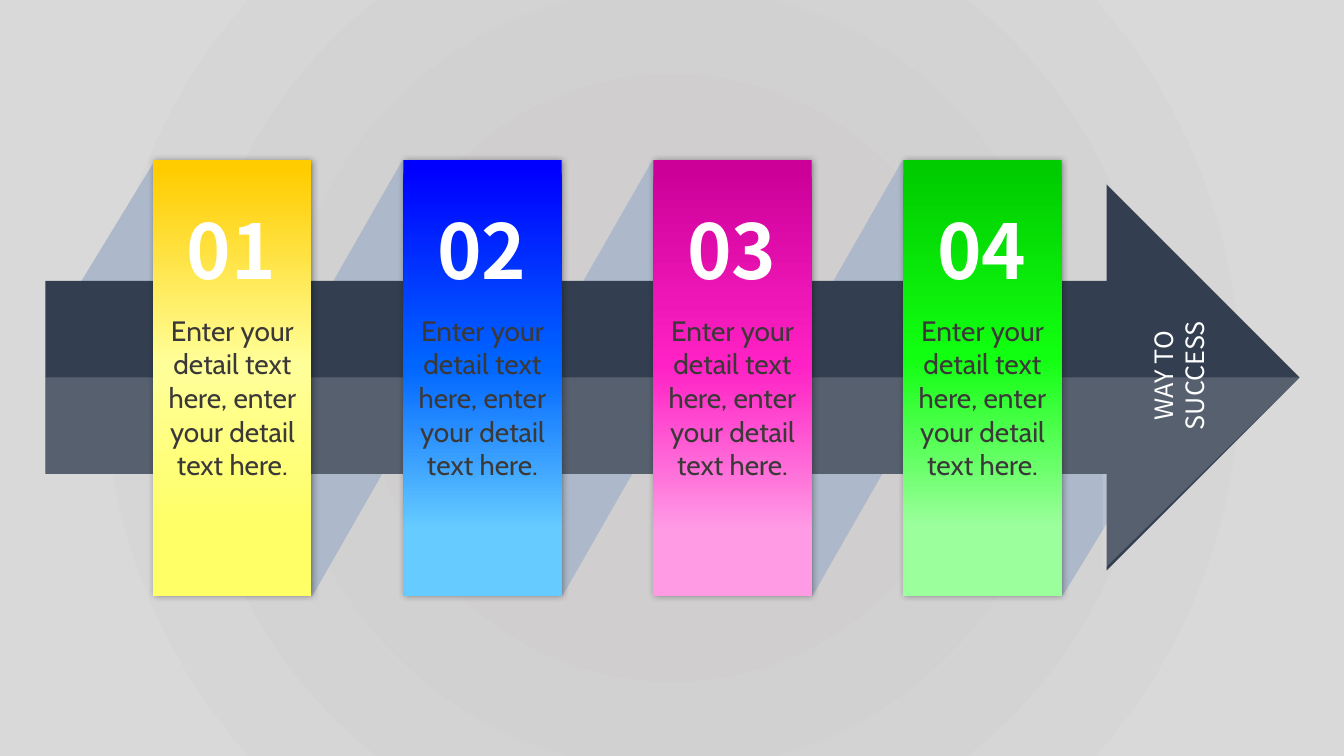
from dataclasses import dataclass

from lxml.etree import SubElement
from pptx import Presentation
from pptx.dml.color import RGBColor
from pptx.enum.shapes import MSO_SHAPE as Preset
from pptx.enum.text import MSO_AUTO_SIZE as AutoSize, PP_ALIGN as Align
from pptx.oxml.ns import qn
from pptx.util import Inches, Pt

NUMBER_FONT, DETAIL_FONT = "Noto Sans CJK SC", "Cabin"
DETAIL = "Enter your detail text here, enter your detail text here."
GRADIENTS = [
    [(2, "FFCC00"), (47, "FFFF99"), (85, "FFFF66")],
    [(2, "0000FF"), (47, "0066FF"), (85, "66CCFF")],
    [(2, "CC0099"), (47, "FF21C5"), (85, "FF9BE5")],
    [(2, "00CC00"), (45, "11FF11"), (84, "9BFF9B")],
]
PITCH = 2.48
SKEW = 0.61


@dataclass
class Box:
    """A rectangle in inches."""
    left: float
    top: float
    width: float
    height: float

    def inner(self, left, top, width, height):
        """A box inside this one, given as shares of its size."""
        return Box(self.left + left * self.width, self.top + top * self.height,
                   width * self.width, height * self.height)

    def emu(self):
        return [Inches(side) for side in (self.left, self.top, self.width, self.height)]


def color(value):
    return RGBColor.from_string(value)


def add_color(parent, value, alpha=None):
    node = SubElement(parent, qn("a:srgbClr"), val=value)
    if alpha is not None:
        SubElement(node, qn("a:alpha"), val=str(alpha * 1000))


def set_gradient(fill, holder, stops, circular=False):
    """Give the fill its stops, running down or out from the centre."""
    fill.gradient()
    gradient = holder.find(qn("a:gradFill"))
    for child in list(gradient):
        gradient.remove(child)
    stop_list = SubElement(gradient, qn("a:gsLst"))
    for position, value in stops:
        add_color(SubElement(stop_list, qn("a:gs"), pos=str(position * 1000)), value)
    if circular:
        shade = SubElement(gradient, qn("a:path"), {"path": "circle"})
        SubElement(shade, qn("a:fillToRect"), dict.fromkeys("ltrb", "50000"))
    else:
        SubElement(gradient, qn("a:lin"), ang="5400000", scaled="0")


def finish(shape, value):
    """Flat fill without line or shadow."""
    shape.shadow.inherit = False
    shape.line.fill.background()
    shape.fill.solid()
    shape.fill.fore_color.rgb = color(value)


def add_flat(shapes, preset, box, value):
    shape = shapes.add_shape(preset, *box.emu())
    finish(shape, value)
    return shape


def add_text(page, box, text, font, size, value, bold=False):
    text_box = page.shapes.add_textbox(*box.emu())
    frame = text_box.text_frame
    frame.text = text
    frame.word_wrap = True
    frame.auto_size = AutoSize.SHAPE_TO_FIT_TEXT
    para = frame.paragraphs[0]
    para.alignment = Align.CENTER
    span = para.runs[0].font
    span.name, span.size, span.bold = font, Pt(size), bold
    span.color.rgb = color(value)
    return text_box


def add_ribbon_folds(page, banners):
    """Slanted bands that join each banner's foot to the next one's head."""
    first, last = banners[0], banners[-1]
    head_width, head_height = 2.4, 1.39
    foot_width, foot_height = 3.16, 2.59
    folds = [
        Box(last.left, last.top + last.height - foot_height, foot_width, foot_height),
        Box(first.left + first.width - head_width, first.top, head_width, head_height),
    ]
    folds += [Box(banner.left, banner.top, PITCH + banner.width, banner.height)
              for banner in banners[:-1]]
    for fold in folds:
        add_flat(page.shapes, Preset.PARALLELOGRAM, fold, "ADB9CA").adjustments[0] = SKEW


def add_arrow(page, box):
    group = page.shapes.add_group_shape()
    add_flat(group.shapes, Preset.RIGHT_ARROW, box, "333F50")
    neck = 1 - 0.51 * box.height / box.width
    outline = [(0, 0.5), (1, 0.5), (neck, 1), (neck, 0.75), (0, 0.75)]
    points = [(Inches(box.left + across * box.width), Inches(box.top + down * box.height))
              for across, down in outline]
    builder = group.shapes.build_freeform(*points[0])
    builder.add_line_segments(points[1:], close=True)
    lower_half = builder.convert_to_shape()
    finish(lower_half, "E7E6E6")
    tint = lower_half.element.spPr.find(qn("a:solidFill"))[0]
    SubElement(tint, qn("a:alpha"), val="20000")


def add_banner(page, box, number, stops):
    banner = add_flat(page.shapes, Preset.RECTANGLE, box, stops[0][1])
    properties = banner.element.spPr
    set_gradient(banner.fill, properties, stops)
    shadow = SubElement(properties.find(qn("a:effectLst")), qn("a:outerShdw"),
                        blurRad=str(Pt(5)), dist=str(Pt(1)), dir="0",
                        algn="ctr", rotWithShape="0")
    add_color(shadow, "000000", 40)
    add_text(page, box.inner(0.08, 0.09, 0.83, 0.23), f"{number:02}",
             NUMBER_FONT, 54, "FFFFFF", bold=True)
    add_text(page, box.inner(0, 0.34, 1, 0.41), DETAIL, DETAIL_FONT, 20, "3B3838")


def build_page(page):
    background = page.background.fill
    holder = page.element.cSld.find(qn("p:bg")).find(qn("p:bgPr"))
    set_gradient(background, holder, [(28, "D0CECE"), (85, "D9D9D9")], circular=True)
    banners = [Box(1.52 + PITCH * column, 1.59, 1.57, 4.32)
               for column in range(len(GRADIENTS))]
    arrow = Box(0.45, 1.83, 12.44, 3.83)
    add_ribbon_folds(page, banners)
    add_arrow(page, arrow)
    for number, (box, stops) in enumerate(zip(banners, GRADIENTS), start=1):
        add_banner(page, box, number, stops)
    label = add_text(page, arrow.inner(0.84, 0.4, 0.13, 0.19), "WAY TO SUCCESS",
                     NUMBER_FONT, 18, "FFFFFF")
    label.rotation = 270


def main():
    deck = Presentation()
    deck.slide_width, deck.slide_height = Inches(13.33), Inches(7.5)
    build_page(deck.slides.add_slide(deck.slide_layouts[6]))
    deck.save("out.pptx")


if __name__ == "__main__":
    main()
